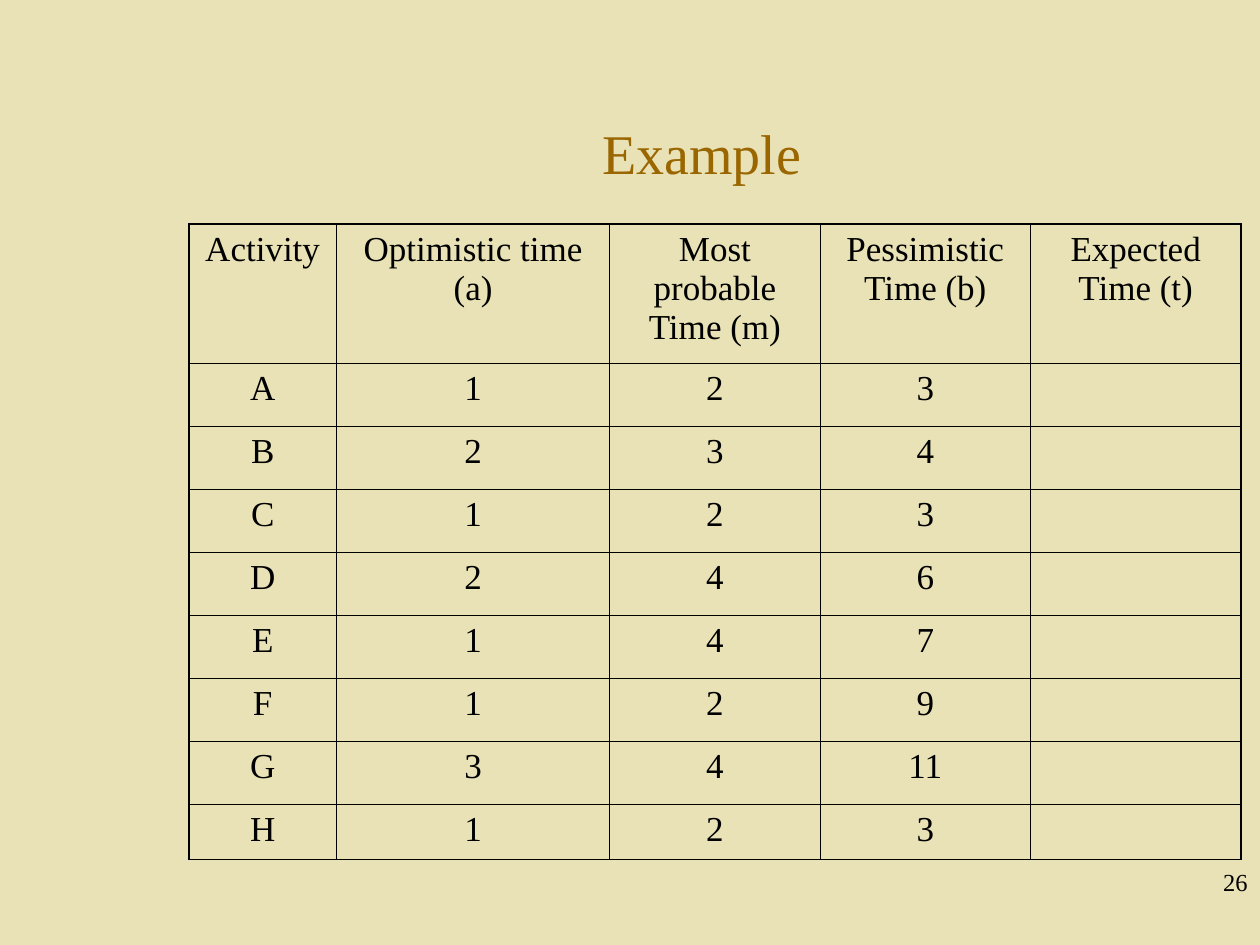
from lxml import etree
from pptx import Presentation
from pptx.dml.color import RGBColor
from pptx.enum.text import MSO_ANCHOR, PP_ALIGN
from pptx.oxml.ns import qn
from pptx.util import Inches, Pt

CENTER, RIGHT = PP_ALIGN.CENTER, PP_ALIGN.RIGHT
TOP, MIDDLE = MSO_ANCHOR.TOP, MSO_ANCHOR.MIDDLE
BACK, BROWN, BLACK = "E9E2B6", "996600", "000000"
THIN, THICK = 0.45, 1.08

HEADS = ["Activity", "Optimistic time (a)", "Most probable Time (m)",
         "Pessimistic Time (b)", "Expected Time (t)"]
TIMES = {"A": (1, 2, 3), "B": (2, 3, 4), "C": (1, 2, 3), "D": (2, 4, 6),
         "E": (1, 4, 7), "F": (1, 2, 9), "G": (3, 4, 11), "H": (1, 2, 3)}
WIDTHS = [1.17, 2.17] + [1.67] * 3
HEIGHTS = [1.1] + [0.5] * 7 + [0.44]


def color(code):
    return RGBColor.from_string(code)


class Deck:
    font = "Times New Roman"

    def __init__(self, show):
        self.slide = show.slides.add_slide(show.slide_layouts[6])
        fill = self.slide.background.fill
        fill.solid()
        fill.fore_color.rgb = color(BACK)

    def style(self, frame, size, code, align, before=0):
        para = frame.paragraphs[0]
        para.alignment = align
        para.space_before = Pt(before)
        for font in [para.font] + [run.font for run in para.runs]:
            font.name = self.font
            font.size = Pt(size)
            font.color.rgb = color(code)

    def text(self, words, place, size, code, align, anchor=TOP, before=0):
        box = self.slide.shapes.add_textbox(*map(Inches, place))
        frame = box.text_frame
        frame.word_wrap = True
        frame.vertical_anchor = anchor
        frame.text = words
        self.style(frame, size, code, align, before)

    def border(self, cell, edges):
        props = cell._tc.get_or_add_tcPr()
        for spot, (side, width) in enumerate(edges.items()):
            line = etree.Element(qn("a:ln" + side), w=str(int(Pt(width))))
            fill = etree.SubElement(line, qn("a:solidFill"))
            etree.SubElement(fill, qn("a:srgbClr"), val=BLACK)
            props.insert(spot, line)

    def table(self, rows, left, top, widths, heights):
        place = map(Inches, (left, top, sum(widths), sum(heights)))
        grid = self.slide.shapes.add_table(len(rows), len(widths), *place).table
        grid.first_row = grid.horz_banding = False
        for col, width in zip(grid.columns, widths):
            col.width = Inches(width)
        for row, height in zip(grid.rows, heights):
            row.height = Inches(height)
        end, low = len(widths) - 1, len(rows) - 1
        for r, row in enumerate(rows):
            for c, value in enumerate(row):
                cell = grid.cell(r, c)
                cell.fill.background()
                cell.text_frame.text = str(value)
                self.style(cell.text_frame, 20, BLACK, CENTER, 5)
                outer = {"L": c == 0, "R": c == end, "T": r == 0, "B": r == low}
                self.border(cell, {side: THICK if edge else THIN
                                   for side, edge in outer.items()})


def main():
    show = Presentation()
    show.slide_width, show.slide_height = Inches(10), Inches(7.5)
    deck = Deck(show)
    deck.text("Example ", (1.5, 0.58, 8.25, 1.25), 32, BROWN, CENTER, MIDDLE)
    rows = [HEADS] + [[name, *times, ""] for name, times in TIMES.items()]
    deck.table(rows, 1.5, 1.78, WIDTHS, HEIGHTS)
    deck.text("26", (7.92, 6.83, 2.08, 0.5), 14, BLACK, RIGHT, before=8.8)
    show.save("out.pptx")


if __name__ == "__main__":
    main()
